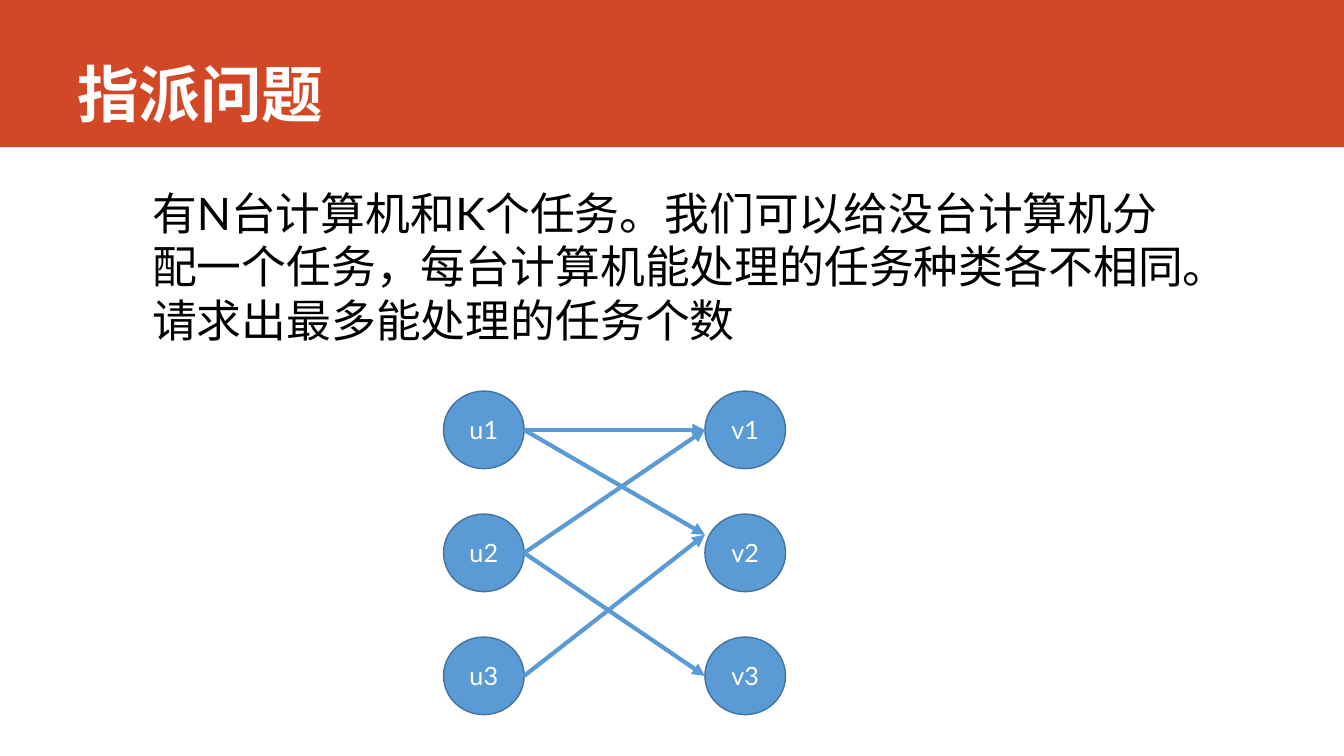
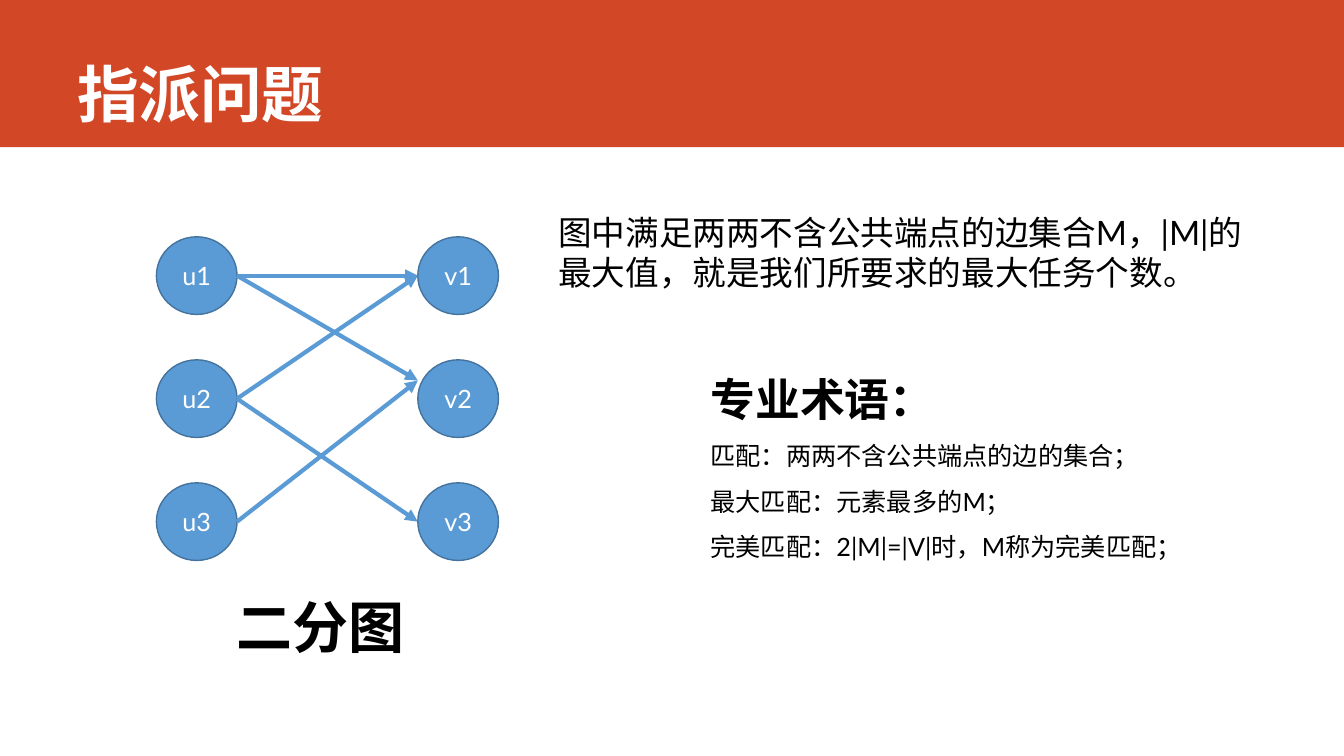
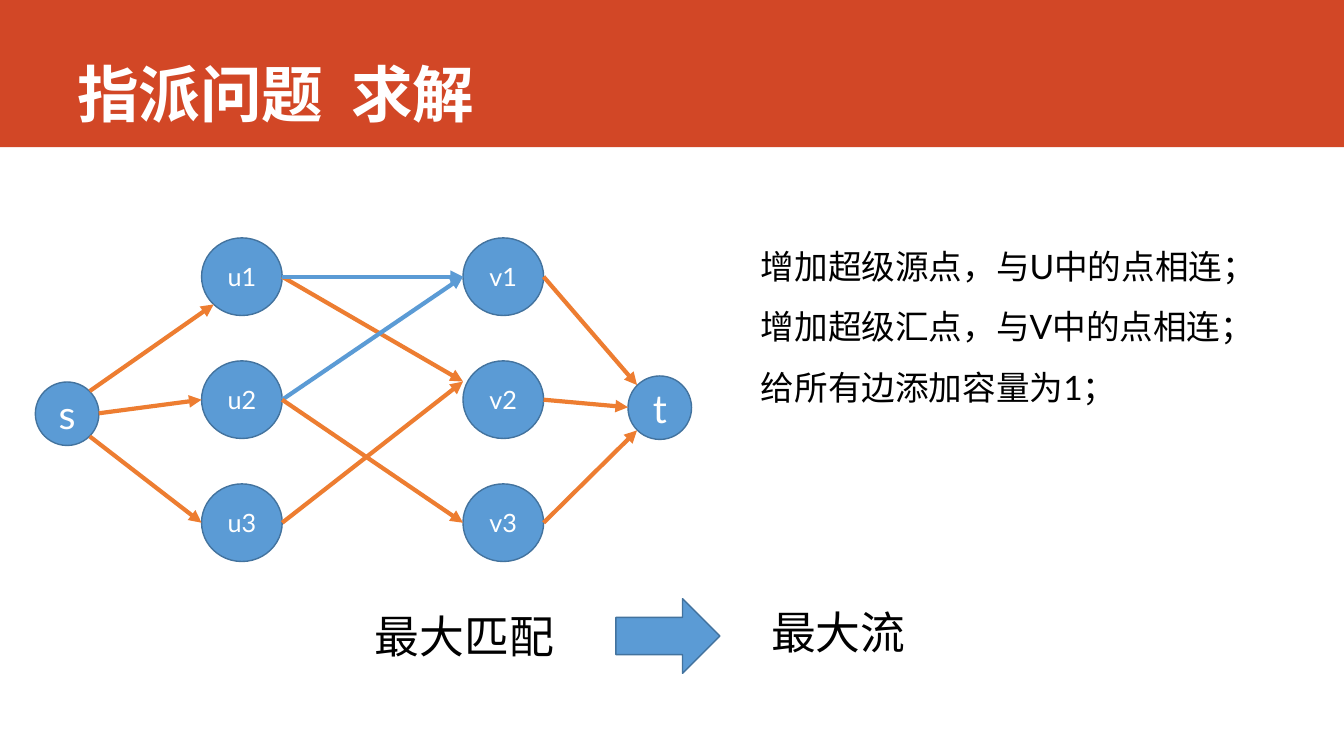
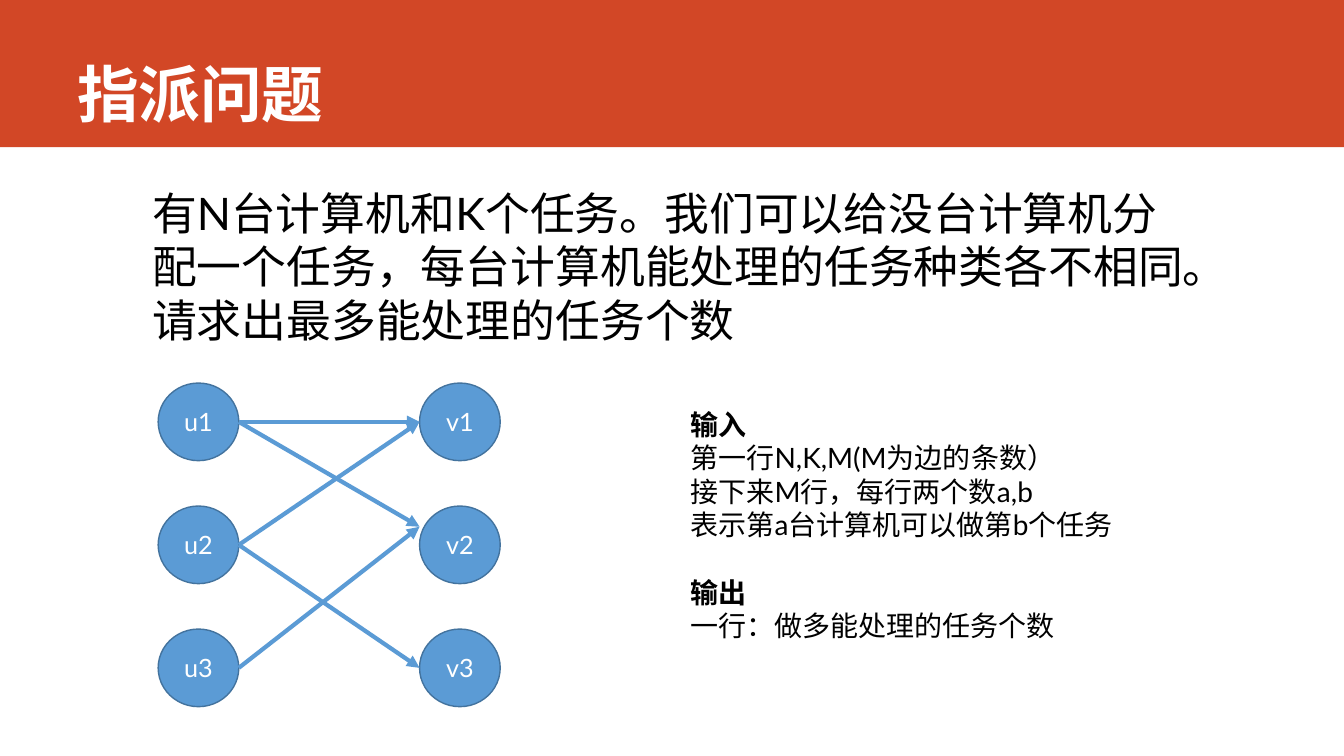
"""Build four slides on the assignment problem and bipartite matching."""
from lxml.etree import SubElement
from pptx import Presentation
from pptx.dml.color import RGBColor
from pptx.enum.shapes import MSO_CONNECTOR, MSO_SHAPE
from pptx.enum.text import MSO_ANCHOR, PP_ALIGN
from pptx.oxml.ns import qn
from pptx.util import Inches, Pt

HUES = {"band": "D24726", "node": "5B9BD5", "rim": "43739E",
        "flow": "ED7D31", "ink": "000000", "white": "FFFFFF"}
HUE = {name: RGBColor.from_string(code) for name, code in HUES.items()}
BODY, HEAD = "Lato", "Noto Sans CJK SC"

deck = Presentation()
deck.slide_width, deck.slide_height = Inches(13.333), Inches(7.5)
COL, ROW = deck.slide_width / 100, deck.slide_height / 100


def grid(*spots):
    """Turn alternating columns and rows into lengths."""
    return [round(n * (ROW if i % 2 else COL)) for i, n in enumerate(spots)]


def write(frame, text, size=18, hue="ink", bold=False, font=BODY,
          align=PP_ALIGN.LEFT, lead=None, gap=None, tab=None):
    """Add one paragraph of text to a frame."""
    para = frame.paragraphs[0]
    if para.runs:
        para = frame.add_paragraph()
    para.alignment = align
    if lead:
        para.line_spacing = lead
    if gap:
        para.space_before = Pt(gap)
    if tab:
        stops = SubElement(para._p.get_or_add_pPr(), qn("a:tabLst"))
        SubElement(stops, qn("a:tab"), pos=str(round(tab * COL)), algn="l")
    run = para.add_run()
    run.text = text
    run.font.size, run.font.bold = Pt(size), bold
    run.font.color.rgb = HUE[hue]
    run.font.name = font
    SubElement(run._r.get_or_add_rPr(), qn("a:ea"), typeface=BODY)


TASK = ((10.58, 23.87, 79.2, 22.93), [
    ("有N台计算机和K个任务。我们可以给没台计算机分配一个任务，"
     "每台计算机能处理的任务种类各不相同。请求出最多能处理的任务个数", {"size": 32})])
TERM, STEP = {"lead": 1.5}, {"size": 24, "lead": 1.5}
ITEM, TOP = {"size": 20}, {"size": 20, "bold": True}

PAGES = [
    {"title": "指派问题", "graph": (33, 51.73), "notes": [TASK]},
    {"title": "指派问题", "graph": (11.64, 31.33), "notes": [
        ((40.8, 27.33, 53.63, 12.13), [
            ("图中满足两两不含公共端点的边集合M，|M|的最大值，"
             "就是我们所要求的最大任务个数。", {"size": 24})]),
        ((52.13, 48.53, 36.45, 30.8), [
            ("专业术语：", {"size": 32, "bold": True}),
            ("匹配：两两不含公共端点的边的集合；", TERM),
            ("最大匹配：元素最多的M；", TERM),
            ("完美匹配：2|M|=|V|时，M称为完美匹配；", TERM)]),
        ((16.88, 77.73, 15.08, 10.27), [
            ("二分图", {"size": 40, "bold": True})])]},
    {"title": "指派问题\t求解", "graph": (15, 31.47), "flow": True, "notes": [
        ((55.88, 29.2, 41.7, 25.6), [
            ("增加超级源点，与U中的点相连；", STEP),
            ("增加超级汇点，与V中的点相连；", STEP),
            ("给所有边添加容量为1；", STEP)]),
        ((27.15, 79.87, 16.43, 8.53), [("最大匹配", {"size": 32})]),
        ((56.63, 79.33, 13.88, 8.53), [("最大流", {"size": 32})])]},
    {"title": "指派问题", "graph": (11.77, 50.67), "notes": [
        TASK,
        ((50.63, 53.2, 35.1, 32.8), [
            ("输入", TOP),
            ("第一行N,K,M(M为边的条数）", ITEM),
            ("接下来M行，每行两个数a,b", ITEM),
            ("表示第a台计算机可以做第b个任务", ITEM),
            ("输出", TOP | {"gap": 24}),
            ("一行：做多能处理的任务个数", ITEM)])]},
]
WIDE, HIGH, STEPX, STEPY = 6, 10.27, 19.45, 16.27
EDGES = [(0, 1, "flow"), (0, 0, "node"), (1, 0, "node"),
         (1, 2, "flow"), (2, 1, "flow")]

for page in PAGES:
    slide = deck.slides.add_slide(deck.slide_layouts[6])
    left, top = page["graph"]
    flow = page.get("flow", False)
    right = left + STEPX
    mids = [top + HIGH / 2 + STEPY * i for i in range(3)]
    ports = [mids[0], mids[1] - 2.4, mids[2]]

    forms = [(MSO_SHAPE.RECTANGLE, (0, 0, 100, 19.47), "", 18, "band")]
    forms += [(MSO_SHAPE.OVAL, (x, top + STEPY * i, WIDE, HIGH),
               f"{side}{i + 1}", 18, "node")
              for side, x in (("u", left), ("v", right)) for i in range(3)]
    lines = [(left + WIDE, mids[a], right, ports[b], hue if flow else "node")
             for a, b, hue in EDGES]
    if flow:
        forms += [
            (MSO_SHAPE.OVAL, (2.63, 50.53, 4.73, 8.4), "s", 28, "node"),
            (MSO_SHAPE.OVAL, (46.73, 49.73, 4.73, 8.4), "t", 28, "node"),
            (MSO_SHAPE.RIGHT_ARROW, (45.83, 79.2, 7.73, 9.87), "", 18, "node")]
        outs = [(6.68, 51.73, 15.9, 40.27), (7.35, 54.67, left, mids[1]),
                (6.68, 57.73, left, mids[2])]
        ends = [(47.4, 50.93), (46.73, 53.87), (47.4, 56.93)]
        lines += [(*out, "flow") for out in outs]
        lines += [(right + WIDE, y, *end, "flow") for y, end in zip(mids, ends)]

    for kind, box, text, size, hue in forms:
        form = slide.shapes.add_shape(kind, *grid(*box))
        form.shadow.inherit = False
        form.fill.solid()
        form.fill.fore_color.rgb = HUE[hue]
        if hue == "band":
            form.line.fill.background()
        else:
            form.line.color.rgb, form.line.width = HUE["rim"], Pt(1)
        if text:
            form.text_frame.vertical_anchor = MSO_ANCHOR.MIDDLE
            write(form.text_frame, text, size=size, hue="white",
                  align=PP_ALIGN.CENTER)

    for *ends, hue in lines:
        line = slide.shapes.add_connector(MSO_CONNECTOR.STRAIGHT, *grid(*ends))
        line.line.color.rgb, line.line.width = HUE[hue], Pt(3)
        SubElement(line.line._get_or_add_ln(), qn("a:tailEnd"), type="triangle")
        SubElement(line._element.spPr, qn("a:effectLst"))

    head = ((5, 0, 88.1, 17.87), [
        (page["title"], {"size": 44, "hue": "white", "bold": True,
                         "font": HEAD, "tab": 20.4})])
    for box, paras in [head] + page["notes"]:
        frame = slide.shapes.add_textbox(*grid(*box)).text_frame
        frame.word_wrap = True
        if paras is head[1]:
            frame.vertical_anchor = MSO_ANCHOR.BOTTOM
        for text, style in paras:
            write(frame, text, **style)

deck.save("out.pptx")
